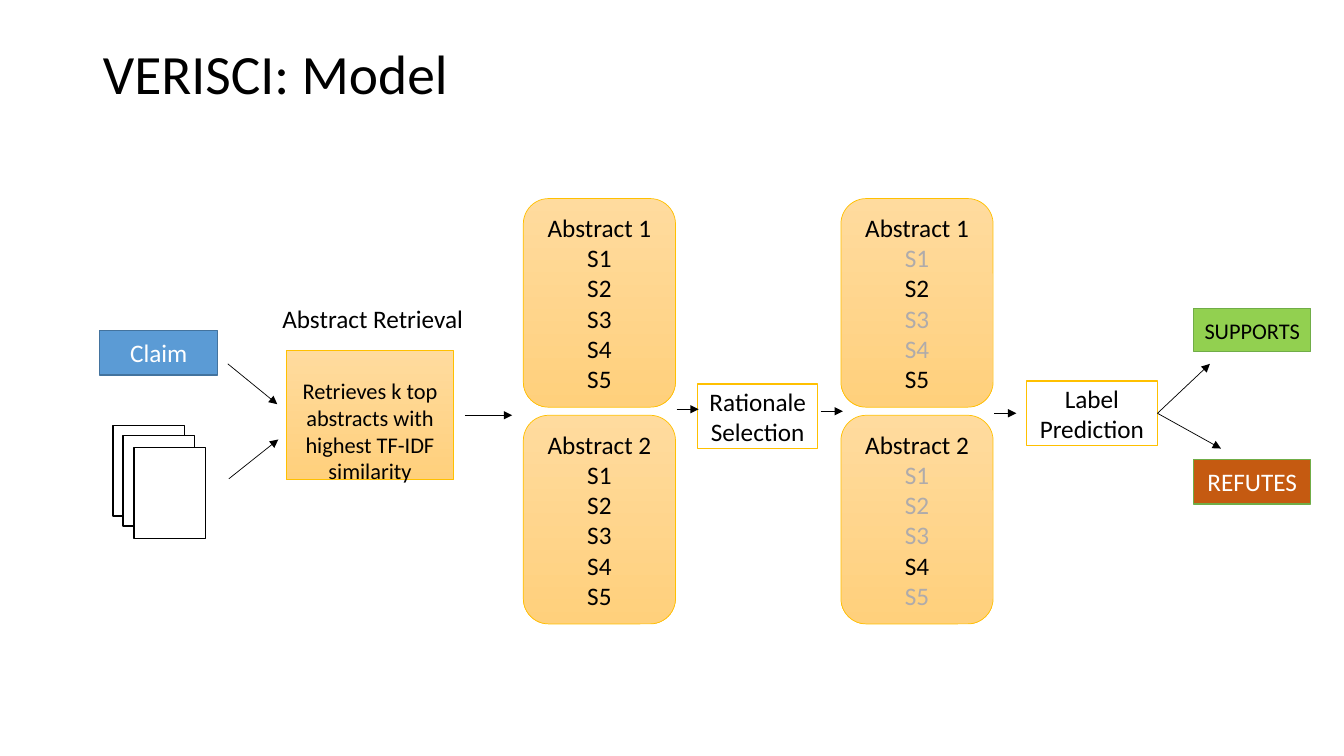
import pptx
import pptx.util
import pptx.dml.color
import pptx.enum.shapes
import pptx.enum.text
import pptx.oxml.ns
from lxml import etree

PX = 9144
SHAPE = pptx.enum.shapes.MSO_SHAPE
ANCHOR = pptx.enum.text.MSO_ANCHOR
ALIGN = pptx.enum.text.PP_ALIGN
qn = pptx.oxml.ns.qn
COLORS = {
    "black": "000000", "white": "FFFFFF", "muted": "AFABAB",
    "claim": "5B9BD5", "claim_edge": "43739E", "gold": "FFC000",
    "sand_top": "FFDB9E", "sand_bottom": "FFD07C",
    "supports": "92D050", "refutes": "C55A11", "verdict_edge": "70AD47",
}


def rgb(name):
    return pptx.dml.color.RGBColor.from_string(COLORS[name])


def place(part, box):
    part.left, part.top, part.width, part.height = (v * PX for v in box)


def write(part, text, size=18, color="black", line_colors=None, align=ALIGN.CENTER,
          anchor=ANCHOR.MIDDLE, insets=(5, 5, 5, 5), spacing=None, plain=False):
    frame = part.text_frame
    frame.word_wrap = True
    frame.auto_size = pptx.enum.text.MSO_AUTO_SIZE.NONE
    frame.vertical_anchor = anchor
    (frame.margin_left, frame.margin_top,
     frame.margin_right, frame.margin_bottom) = (v * PX for v in insets)
    for index, line in enumerate(text.split("\n")):
        paragraph = frame.add_paragraph() if index else frame.paragraphs[0]
        if plain:
            properties = paragraph._p.get_or_add_pPr()
            properties.set("marL", "0")
            properties.set("indent", "0")
            etree.SubElement(properties, qn("a:buNone"))
        paragraph.alignment = align
        paragraph.space_before = pptx.util.Pt(0)
        if spacing:
            paragraph.line_spacing = spacing
        run = paragraph.add_run()
        run.text = line
        run.font.name = "Calibri"
        run.font.size = pptx.util.Pt(size)
        run.font.color.rgb = rgb(line_colors[index] if line_colors else color)


def add_box(slide, box, fill, edge, kind=SHAPE.RECTANGLE, weight=1, text=None, **style):
    left, top, width, height = (v * PX for v in box)
    part = slide.shapes.add_shape(kind, left, top, width, height)
    part.shadow.inherit = False
    if fill == "sand":
        part.fill.gradient()
        part.fill.gradient_angle = 270
        for stop, name in zip(part.fill.gradient_stops, ("sand_top", "sand_bottom")):
            stop.position = 0 if name == "sand_top" else 1
            stop.color.rgb = rgb(name)
    else:
        part.fill.solid()
        part.fill.fore_color.rgb = rgb(fill)
    part.line.color.rgb = rgb(edge)
    part.line.width = pptx.util.Pt(weight)
    if text:
        write(part, text, **style)
    return part


def add_arrow(slide, start, end, source=None):
    arrow = slide.shapes.add_connector(
        pptx.enum.shapes.MSO_CONNECTOR.STRAIGHT, *(v * PX for v in (*start, *end)))
    if source is not None:
        arrow.begin_connect(source, 3)
    arrow.line.color.rgb = rgb("black")
    arrow.line.width = pptx.util.Pt(0.5)
    etree.SubElement(arrow.line._get_or_add_ln(), qn("a:tailEnd"), type="triangle")
    etree.SubElement(arrow._element.spPr, qn("a:effectLst"))


def add_headings(slide, box):
    left, top, width, height = box
    title, retrieval_label = slide.placeholders
    place(title, (left, top, width, 72))
    write(title, "VERISCI: Model", size=39.6, align=ALIGN.LEFT,
          insets=(10, 5, 10, 5), spacing=0.9)
    place(retrieval_label, (left, top + 94, width, height - 94))
    write(retrieval_label, "Abstract Retrieval", align=ALIGN.LEFT, anchor=ANCHOR.TOP,
          insets=(188, 170, 10, 5), spacing=0.9, plain=True)


def add_inputs(slide, box):
    left, top, width, height = box
    for shift_x, shift_y in ((13, 94), (23, 104), (34, 116)):
        add_box(slide, (left + shift_x, top + shift_y, 71, 90), "white", "black")
    add_box(slide, (left, top, width, 44), "claim", "claim_edge",
            text="Claim", color="white")
    add_arrow(slide, (left + 127, top + 33), (left + 176, top + 73))
    add_arrow(slide, (left + 128, top + 147), (left + 177, top + 108))


def add_retrieval(slide, box):
    left, top, width, height = box
    add_box(slide, box, "sand", "gold", weight=0.5, size=16, anchor=ANCHOR.TOP,
            insets=(10, 26, 10, 0),
            text="Retrieves k top abstracts with highest TF-IDF similarity")
    add_arrow(slide, (left + 177, top + 64), (left + 224, top + 64))


def add_abstracts(slide, box, kept):
    left, top, width, height = box
    card_height = (height - 8) // 2
    for index, kept_sentences in enumerate(kept):
        sentences = range(1, 6)
        add_box(slide, (left, top + index * (card_height + 8), width, card_height),
                "sand", "gold", kind=SHAPE.ROUNDED_RECTANGLE, weight=0.5,
                text="\n".join([f"Abstract {index + 1}", *(f"S{n}" for n in sentences)]),
                line_colors=["black", *("black" if n in kept_sentences else "muted"
                                       for n in sentences)])


def add_rationale(slide, box):
    left, top, width, height = box
    add_box(slide, box, "white", "gold", text="Rationale Selection")
    add_arrow(slide, (left - 21, top + 25), (left + 1, top + 25))
    add_arrow(slide, (left + 122, top + 27), (left + 144, top + 27))


def add_prediction(slide, box):
    left, top, width, height = box
    predictor = add_box(slide, (left, top + 72, 130, 64), "white", "gold",
                        text="Label Prediction")
    verdict_left = left + width - 116
    add_box(slide, (verdict_left, top, 116, 43), "supports", "verdict_edge",
            text="SUPPORTS", size=16)
    add_box(slide, (verdict_left, top + 150, 116, 44), "refutes", "verdict_edge",
            text="REFUTES", color="white")
    add_arrow(slide, (left - 32, top + 104), (left - 10, top + 104))
    outlet = (left + 130, top + 104)
    add_arrow(slide, outlet, (left + 182, top + 55), source=predictor)
    add_arrow(slide, outlet, (left + 193, top + 139), source=predictor)


def main():
    deck = pptx.Presentation()
    deck.slide_width, deck.slide_height = 1333 * PX, 750 * PX
    slide = deck.slides.add_slide(deck.slide_layouts[1])
    every_sentence = {1, 2, 3, 4, 5}
    add_headings(slide, (92, 40, 1150, 638))
    add_inputs(slide, (99, 328, 117, 206))
    add_retrieval(slide, (284, 348, 166, 128))
    add_abstracts(slide, (519, 197, 151, 422), (every_sentence, every_sentence))
    add_abstracts(slide, (834, 197, 151, 422), ({2, 5}, {4}))
    add_rationale(slide, (692, 381, 119, 64))
    add_prediction(slide, (1018, 306, 282, 194))
    deck.save("out.pptx")


if __name__ == "__main__":
    main()
